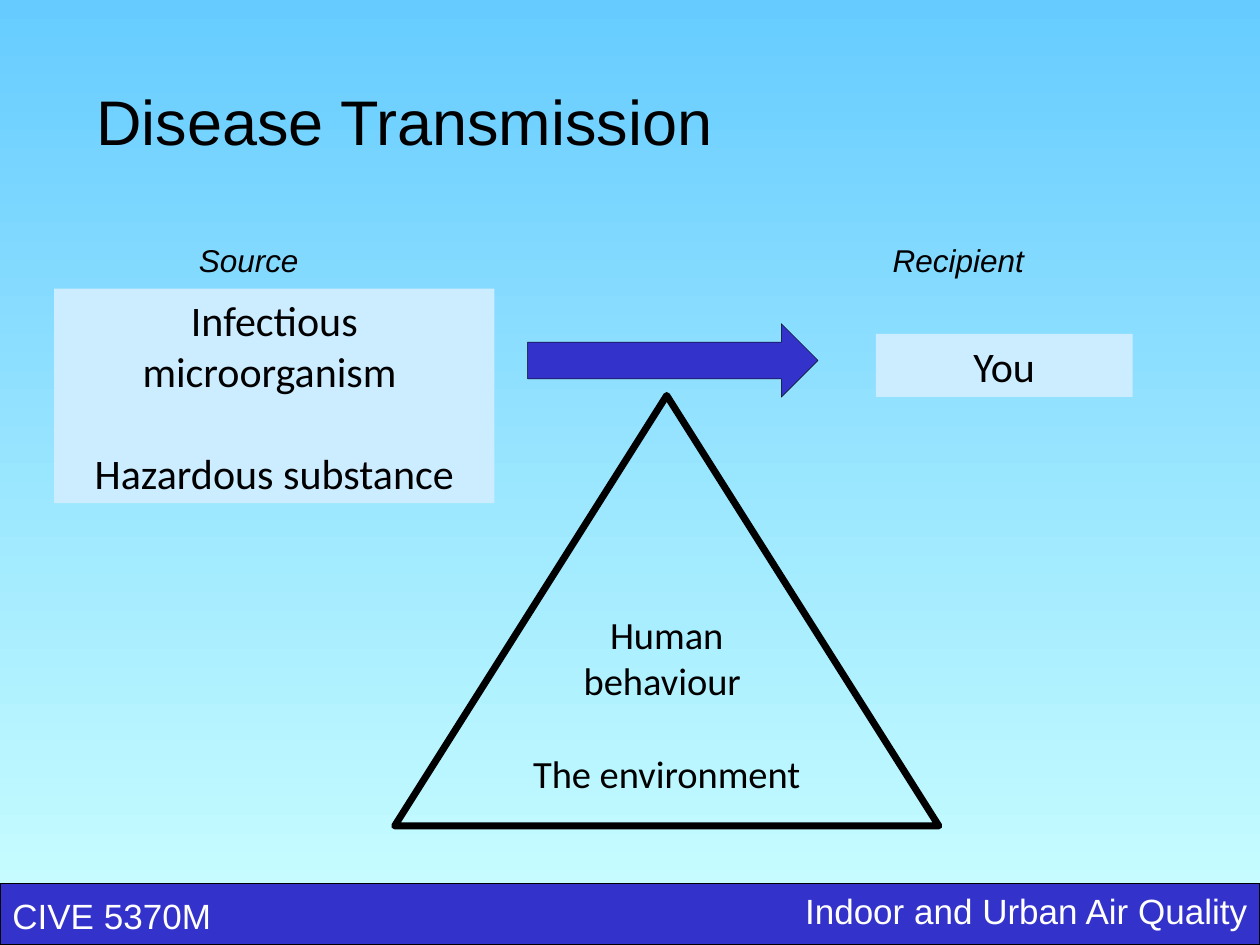
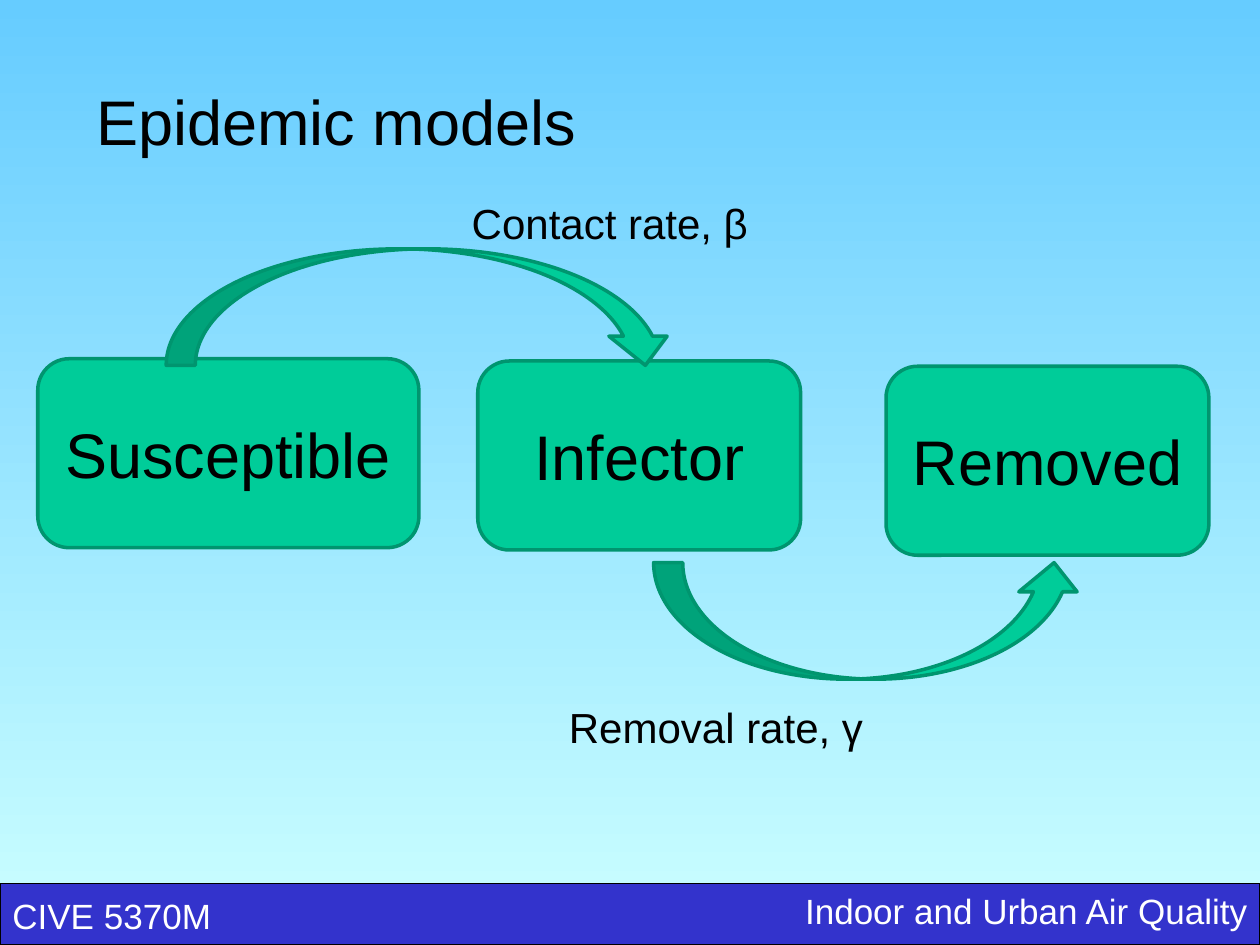
from pptx import Presentation
from pptx import util as u
from pptx.dml.color import RGBColor
from pptx.enum import shapes, text

BLACK = RGBColor(0x00, 0x00, 0x00)
WHITE = RGBColor(0xFF, 0xFF, 0xFF)
SKY_TOP = RGBColor(0x66, 0xCC, 0xFF)
SKY_BOTTOM = RGBColor(0xCC, 0xFF, 0xFF)
BAND_BLUE = RGBColor(0x33, 0x33, 0xCC)
PALE_BLUE = RGBColor(0xCC, 0xEC, 0xFF)
GREEN = RGBColor(0x00, 0xCC, 0x99)
DARK_GREEN = RGBColor(0x00, 0x95, 0x6F)

LEFT = text.PP_ALIGN.LEFT
CENTER = text.PP_ALIGN.CENTER
RIGHT = text.PP_ALIGN.RIGHT
TOP = text.MSO_ANCHOR.TOP
MIDDLE = text.MSO_ANCHOR.MIDDLE
PRESET = shapes.MSO_SHAPE


def add_block(slide, preset, box, fill=None, line=None, width=0):
    shape = slide.shapes.add_shape(preset, *[u.Pt(value) for value in box])
    shape.shadow.inherit = False
    if fill is None:
        shape.fill.background()
    else:
        shape.fill.solid()
        shape.fill.fore_color.rgb = fill
    if line is None:
        shape.line.fill.background()
    else:
        shape.line.color.rgb = line
        shape.line.width = u.Pt(width)
    return shape


def write(target, lines, size, font="Arial", color=BLACK, align=LEFT,
          anchor=TOP, italic=False, gap=0):
    frame = target.text_frame
    frame.text = lines
    frame.word_wrap = True
    frame.vertical_anchor = anchor
    for index, paragraph in enumerate(frame.paragraphs):
        paragraph.alignment = align
        if index:
            paragraph.space_before = u.Pt(gap)
        for run in paragraph.runs:
            run.font.size = u.Pt(size)
            run.font.name = font
            run.font.color.rgb = color
            run.font.italic = italic


presentation = Presentation()
presentation.slide_width = u.Pt(720)
presentation.slide_height = u.Pt(540)

sky = presentation.slide_master.background.fill
sky.gradient()
sky.gradient_angle = 270
for stop, color in zip(sky.gradient_stops, (SKY_TOP, SKY_BOTTOM)):
    stop.color.rgb = color
    stop.position = 0 if color == SKY_TOP else 1

slides = []
for title in ("Disease Transmission", "Epidemic models"):
    slide = presentation.slides.add_slide(presentation.slide_layouts[6])
    add_block(slide, PRESET.RECTANGLE, (0, 504.7, 720, 35.3), BAND_BLUE, BLACK, 0.75)
    for label, box, size, color, align, anchor in (
        ("CIVE 5370M", (0, 507.6, 424.8, 31.5), 20, WHITE, LEFT, TOP),
        ("Indoor and Urban Air Quality", (445.7, 504.7, 274.3, 31.5), 20, WHITE, RIGHT, TOP),
        (title, (48, 24, 612, 90), 36, BLACK, LEFT, MIDDLE),
    ):
        text_box = slide.shapes.add_textbox(*[u.Pt(value) for value in box])
        write(text_box, label, size, color=color, align=align, anchor=anchor)
    slides.append(slide)
transmission, epidemic = slides

source = add_block(transmission, PRESET.RECTANGLE, (31, 165, 251.5, 122.5), PALE_BLUE)
write(source, "Infectious microorganism \nHazardous substance", 24, "Calibri",
      align=CENTER, gap=29.3)
recipient = add_block(transmission, PRESET.RECTANGLE, (500.5, 190.8, 146.7, 36), PALE_BLUE)
write(recipient, "You", 24, "Calibri", align=CENTER)
add_block(transmission, PRESET.RIGHT_ARROW, (301.5, 185, 166, 42), BAND_BLUE, BLACK, 0.25)

triangle = add_block(transmission, PRESET.ISOSCELES_TRIANGLE, (225.5, 226, 311, 246),
                     line=BLACK, width=4)
write(triangle, "Human behaviour \nThe environment", 22, "Calibri", align=CENTER, gap=26.9)
frame = triangle.text_frame
frame.margin_left = frame.margin_top = frame.margin_right = frame.margin_bottom = 0

for label, left, width, top in (("Susceptible", 21.6, 217.8, 205),
                                ("Infector", 273, 184.5, 206.3),
                                ("Removed", 506.3, 184.5, 209.3)):
    state = add_block(epidemic, PRESET.ROUNDED_RECTANGLE, (left, top, width, 108),
                      GREEN, DARK_GREEN, 2)
    write(state, label, 36, align=CENTER, anchor=MIDDLE)

for preset, box in ((PRESET.CURVED_DOWN_ARROW, (95, 142.2, 290.5, 66.6)),
                    (PRESET.CURVED_UP_ARROW, (373.5, 321.5, 245.5, 66.6))):
    add_block(epidemic, preset, box, GREEN, DARK_GREEN, 2)

for slide, label, left, top, width, height, size, italic in (
    (transmission, "Source", 106.5, 134, 178.5, 29, 18, True),
    (transmission, "Recipient", 503, 134, 178.5, 29, 18, True),
    (epidemic, "Contact rate, β", 262.5, 109.5, 201.6, 36, 24, False),
    (epidemic, "Removal rate, γ", 318, 397.3, 201.6, 36, 24, False),
):
    caption = slide.shapes.add_textbox(u.Pt(left), u.Pt(top), u.Pt(width), u.Pt(height))
    write(caption, label, size, italic=italic)

presentation.save("out.pptx")
